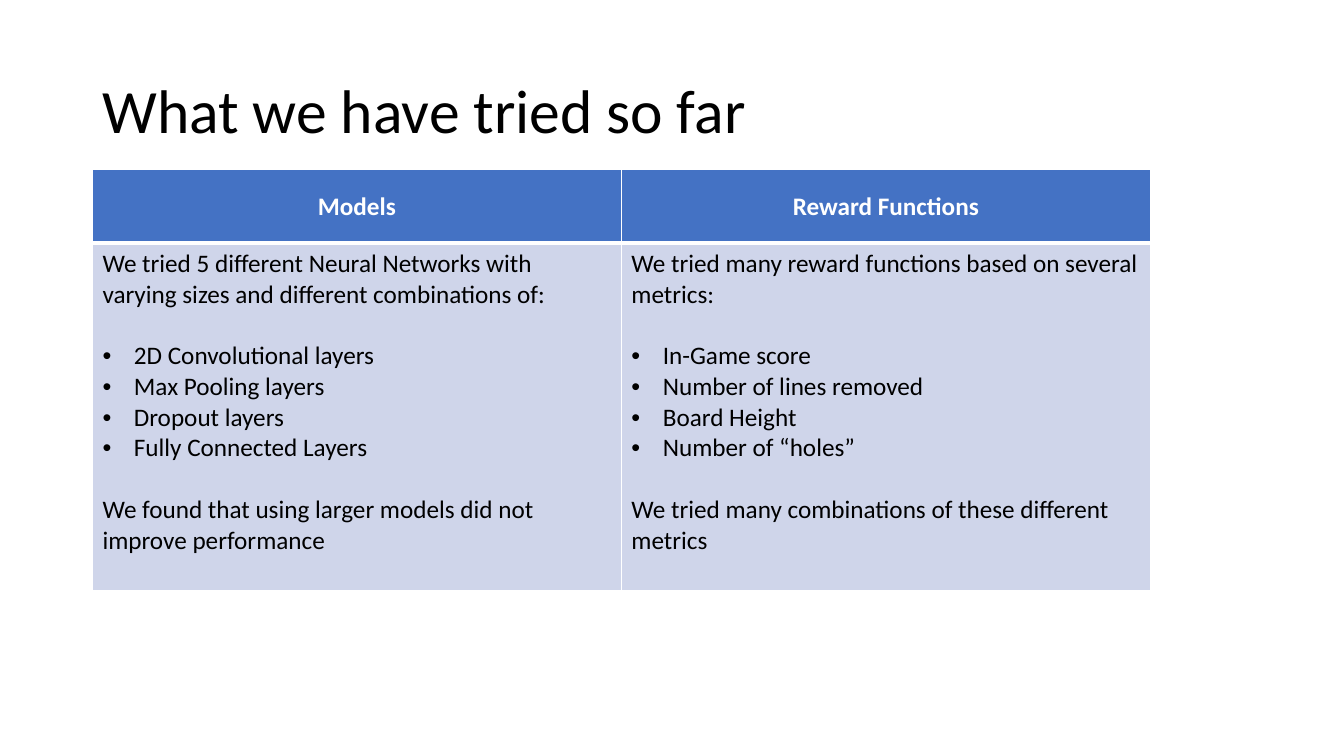
import pptx
import pptx.util
import pptx.dml.color
import pptx.enum.text
import pptx.oxml
import pptx.oxml.ns

Cm = pptx.util.Cm
Pt = pptx.util.Pt
RGBColor = pptx.dml.color.RGBColor
ANCHOR = pptx.enum.text.MSO_ANCHOR
ALIGN = pptx.enum.text.PP_ALIGN

TITLE = "What we have tried so far"
COLUMNS = [
    {
        "heading": "Models",
        "intro": "We tried 5 different Neural Networks with varying sizes and different combinations of:",
        "bullets": ["2D Convolutional layers", "Max Pooling layers", "Dropout layers", "Fully Connected Layers"],
        "finding": "We found that using larger models did not improve performance",
    },
    {
        "heading": "Reward Functions",
        "intro": "We tried many reward functions based on several metrics:",
        "bullets": ["In-Game score", "Number of lines removed", "Board Height", "Number of “holes”"],
        "finding": "We tried many combinations of these different metrics",
    },
]

BLACK = RGBColor(0x00, 0x00, 0x00)
WHITE = RGBColor(0xFF, 0xFF, 0xFF)
HEADING_BLUE = RGBColor(0x44, 0x72, 0xC4)
BODY_BLUE = RGBColor(0xCF, 0xD5, 0xEA)

LEFT = Cm(2.33)
TABLE_TOP = Cm(4.28)
COLUMN_WIDTH = Cm(13.33)
ROW_HEIGHTS = [Cm(1.85), Cm(8.75)]
BULLET_INDENT = Cm(0.79)
LINE_GAP = Pt(22)
THIN, THICK = Pt(1), Pt(3)

TITLE_FONT = {"name": "Calibri", "size": Pt(44), "bold": False}
HEADING_FONT = {"name": "Calibri", "size": Pt(18), "bold": True}
BODY_FONT = {"name": "Calibri", "size": Pt(18), "bold": False}


def set_all(target, values):
    for name, value in values.items():
        setattr(target, name, value)


def write(para, text, font, color, **layout):
    span = para.add_run()
    span.text = text
    set_all(span.font, font)
    span.font.color.rgb = color
    set_all(para, layout)


def add_bullet(para):
    properties = para._p.get_or_add_pPr()
    properties.set("marL", str(BULLET_INDENT))
    properties.set("indent", str(-BULLET_INDENT))
    namespace = pptx.oxml.ns.nsdecls("a")
    properties.append(pptx.oxml.parse_xml(f'<a:buFont {namespace} typeface="Arial"/>'))
    properties.append(pptx.oxml.parse_xml(f'<a:buChar {namespace} char="•"/>'))


def style_cell(cell, fill, anchor, top, bottom):
    cell.fill.solid()
    cell.fill.fore_color.rgb = fill
    cell.vertical_anchor = anchor
    edges = {"lnL": THIN, "lnR": THIN, "lnT": top, "lnB": bottom}
    for place, (edge, width) in enumerate(edges.items()):
        line = pptx.oxml.parse_xml(
            f'<a:{edge} {pptx.oxml.ns.nsdecls("a")} w="{width}"><a:solidFill>'
            f'<a:srgbClr val="{WHITE}"/></a:solidFill></a:{edge}>'
        )
        cell._tc.get_or_add_tcPr().insert(place, line)


def fill_heading(cell, column):
    style_cell(cell, HEADING_BLUE, ANCHOR.MIDDLE, THIN, THICK)
    write(cell.text_frame.paragraphs[0], column["heading"], HEADING_FONT, WHITE, alignment=ALIGN.CENTER)


def fill_body(cell, column):
    style_cell(cell, BODY_BLUE, ANCHOR.TOP, THICK, THIN)
    frame = cell.text_frame
    write(frame.paragraphs[0], column["intro"], BODY_FONT, BLACK, space_after=LINE_GAP)
    for text in column["bullets"]:
        para = frame.add_paragraph()
        write(para, text, BODY_FONT, BLACK)
        add_bullet(para)
    write(frame.add_paragraph(), column["finding"], BODY_FONT, BLACK, space_before=LINE_GAP)


deck = pptx.Presentation()
set_all(deck, {"slide_width": Cm(33.87), "slide_height": Cm(19.05)})
page = deck.slides.add_slide(deck.slide_layouts[6])

box = page.shapes.add_textbox(LEFT, Cm(1.01), Cm(29.21), Cm(3.68))
set_all(box.text_frame, {"word_wrap": True, "vertical_anchor": ANCHOR.MIDDLE})
write(box.text_frame.paragraphs[0], TITLE, TITLE_FONT, BLACK, line_spacing=0.9)

grid = page.shapes.add_table(
    len(ROW_HEIGHTS), len(COLUMNS), LEFT, TABLE_TOP, COLUMN_WIDTH * len(COLUMNS), sum(ROW_HEIGHTS)
).table
set_all(grid, {"first_row": True, "horz_banding": False})
for row, height in zip(grid.rows, ROW_HEIGHTS):
    row.height = height
for index, column in enumerate(COLUMNS):
    grid.columns[index].width = COLUMN_WIDTH
    fill_heading(grid.cell(0, index), column)
    fill_body(grid.cell(1, index), column)

deck.save("out.pptx")
